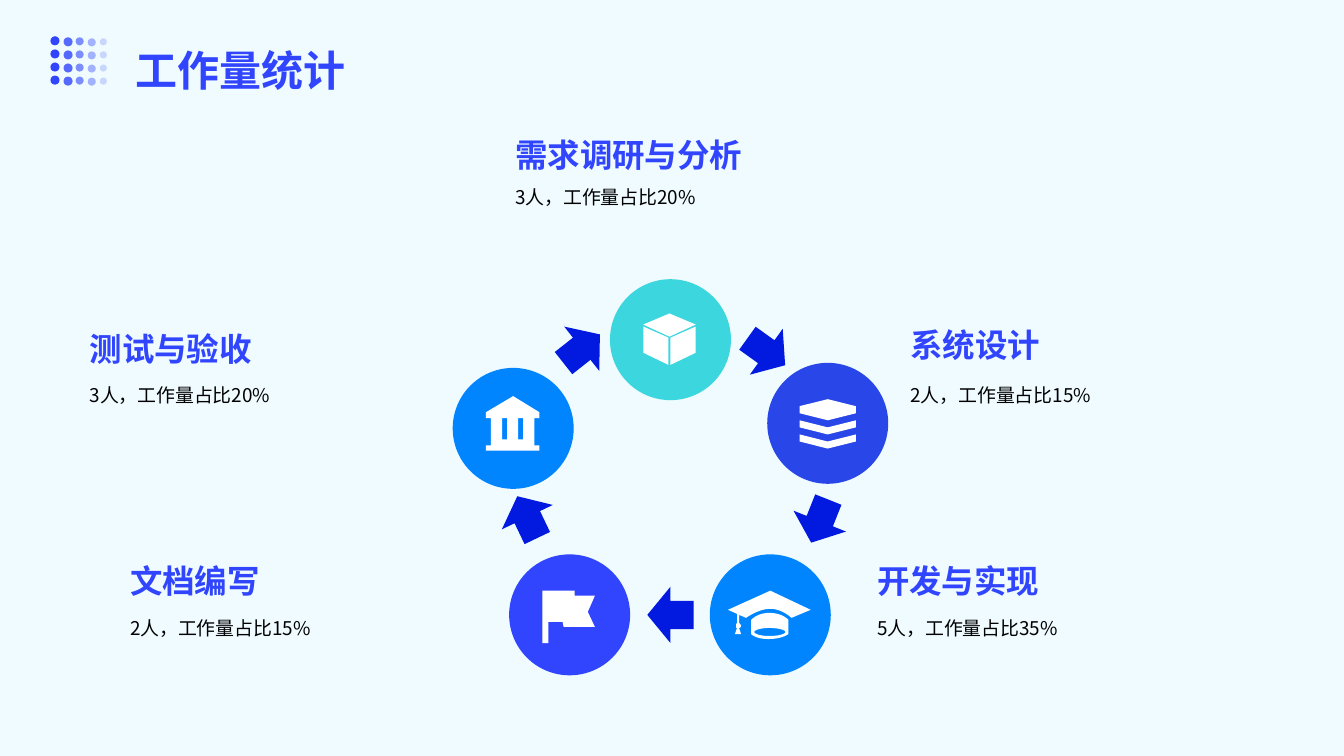
from lxml.etree import SubElement
from pptx import Presentation
from pptx.dml.color import RGBColor
from pptx.enum.shapes import MSO_SHAPE
from pptx.enum.text import MSO_AUTO_SIZE
from pptx.oxml.ns import qn
from pptx.util import Inches, Pt

FONT = "Noto Sans CJK SC"
PALE = RGBColor(0xEF, 0xFB, 0xFF)
BLUE = RGBColor(0x30, 0x45, 0xFD)
SKY = RGBColor(0x00, 0x85, 0xFF)
TEAL = RGBColor(0x3C, 0xD6, 0xDF)
ROYAL = RGBColor(0x29, 0x47, 0xE8)
NAVY = RGBColor(0x02, 0x19, 0xE0)
WHITE = RGBColor(0xFF, 0xFF, 0xFF)
BLACK = RGBColor(0, 0, 0)

# Content
TITLE = "工作量统计"

# name, people, share, left, name top, note top
STAGES = [
    ("需求调研与分析", 3, 20, 4.97, 1.12, 1.59),
    ("系统设计", 2, 15, 8.89, 3.01, 3.55),
    ("开发与实现", 5, 35, 8.56, 5.35, 5.86),
    ("文档编写", 2, 15, 1.15, 5.35, 5.86),
    ("测试与验收", 3, 20, 0.75, 3.05, 3.55),
]

# left, top, colour
DISCS = [(6.05, 2.77, TEAL), (7.61, 3.6, ROYAL), (7.04, 5.5, SKY),
         (5.05, 5.5, BLUE), (4.49, 3.65, SKY)]
DISC = 1.2

# left, top, rotation
ARROWS = [(7.37, 3.21, 35.6), (7.9, 4.89, 111.7), (6.42, 5.82, 180),
          (5, 4.85, 244.4), (5.54, 3.18, 321.7)]

# left, top, size of the dots in each column
DOTS = [(0.5, 0.36, 0.09), (0.63, 0.37, 0.09), (0.75, 0.37, 0.08),
        (0.87, 0.38, 0.08), (0.99, 0.38, 0.07)]
ROWS, PITCH = 4, 0.13


def rect(left, top, right, low):
    return [(left, top), (right, top), (right, low), (left, low)]


# Icon outlines: a point is (x, y), a curve is (x1, y1, x2, y2, x, y)
BOX = [
    [(6.64, 3.11), (6.38, 3.22), (6.64, 3.34), (6.9, 3.22)],
    [(6.65, 3.35), (6.65, 3.62), (6.9, 3.5), (6.9, 3.24)],
    [(6.38, 3.5), (6.63, 3.62), (6.63, 3.35), (6.38, 3.24)],
]
# A full top sheet over two chevrons
STACK = [[(7.93, 4.03), (8.21, 3.96), (8.49, 4.03),
          (8.49, 4.1), (8.21, 4.17), (7.93, 4.1)]]
STACK += [[(7.93, y), (8.21, y + 0.07), (8.49, y),
           (8.49, y + 0.07), (8.21, y + 0.14), (7.93, y + 0.07)]
          for y in (4.17, 4.31)]
CAP = [
    [(7.85, 6.13), (7.85, 6.13, 7.76, 6.04, 7.64, 6.04),
     (7.52, 6.04, 7.4, 6.13, 7.4, 6.13), (7.33, 6.1), (7.33, 6.18),
     (7.34, 6.19, 7.35, 6.2, 7.35, 6.21),
     (7.35, 6.22, 7.34, 6.23, 7.33, 6.23), (7.35, 6.29), (7.29, 6.29),
     (7.31, 6.23), (7.3, 6.23, 7.3, 6.22, 7.3, 6.21),
     (7.3, 6.2, 7.3, 6.19, 7.31, 6.18), (7.31, 6.09), (7.22, 6.05),
     (7.64, 5.86), (8.04, 6.05)],
    [(7.63, 6.08), (7.76, 6.08, 7.82, 6.15, 7.82, 6.15), (7.82, 6.29),
     (7.82, 6.29, 7.76, 6.34, 7.62, 6.34),
     (7.49, 6.34, 7.45, 6.29, 7.45, 6.29), (7.45, 6.15),
     (7.45, 6.15, 7.51, 6.08, 7.63, 6.08)],
    [(7.63, 6.31), (7.72, 6.31, 7.79, 6.29, 7.79, 6.27),
     (7.79, 6.25, 7.72, 6.23, 7.63, 6.23),
     (7.55, 6.23, 7.48, 6.25, 7.48, 6.27),
     (7.48, 6.29, 7.55, 6.31, 7.63, 6.31)],
]
FLAG = [[(5.58, 6.17), (5.44, 6.17), (5.44, 6.38), (5.38, 6.38),
         (5.38, 5.86), (5.7, 5.86), (5.7, 5.91), (5.9, 5.91),
         (5.83, 6.07), (5.9, 6.22), (5.59, 6.22)]]
HALL = [[(4.82, 4.09), (5.09, 3.93), (5.35, 4.09), (5.35, 4.15),
         (4.82, 4.15)],
        rect(4.82, 4.42, 5.35, 4.47), rect(4.87, 4.36, 5.3, 4.42)]
HALL += [rect(x, 4.15, x + 0.11, 4.36) for x in (4.87, 5.03, 5.19)]
ICONS = [BOX, STACK, CAP, FLAG, HALL]

deck = Presentation()
deck.slide_width, deck.slide_height = Inches(13.33), Inches(7.5)
slide = deck.slides.add_slide(deck.slide_layouts[6])
slide.background.fill.solid()
slide.background.fill.fore_color.rgb = PALE
shapes = slide.shapes


def paint(shape, color):
    shape.shadow.inherit = False
    shape.fill.solid()
    shape.fill.fore_color.rgb = color
    shape.line.fill.background()
    return shape


def add(kind, left, top, wide, high, color):
    return paint(shapes.add_shape(kind, Inches(left), Inches(top),
                                  Inches(wide), Inches(high)), color)


def write(text, left, top, wide, high, size, space, color, bold):
    frame = shapes.add_textbox(Inches(left), Inches(top),
                               Inches(wide), Inches(high)).text_frame
    frame.word_wrap = True
    frame.auto_size = MSO_AUTO_SIZE.SHAPE_TO_FIT_TEXT
    frame.margin_left = frame.margin_top = frame.margin_bottom = Inches(0.14)
    frame.margin_right = Inches(0.06)
    para = frame.paragraphs[0]
    para.text = text
    para.line_spacing = space
    font = para.font
    font.size, font.bold, font.name = Pt(size), bold, FONT
    font.color.rgb = color
    # East Asian typeface
    props = para._p.pPr.find(qn("a:defRPr"))
    SubElement(props, qn("a:ea")).set("typeface", FONT)


def trace(path, steps=8):
    """Turn points and curves into a list of points in slide units."""
    out = []
    for item in path:
        if len(item) == 2:
            out.append(item)
            continue
        nodes = [out[-1], item[:2], item[2:4], item[4:]]
        for i in range(1, steps + 1):
            t = i / steps
            parts = ((1 - t) ** 3, 3 * t * (1 - t) ** 2,
                     3 * t * t * (1 - t), t ** 3)
            out.append(tuple(sum(w * n[k] for w, n in zip(parts, nodes))
                             for k in (0, 1)))
    return [(Inches(x), Inches(y)) for x, y in out]


def draw(paths):
    first, *rest = [trace(path) for path in paths]
    build = shapes.build_freeform(*first[0])
    build.add_line_segments(first[1:], close=True)
    for line in rest:
        build.move_to(*line[0])
        build.add_line_segments(line[1:], close=True)
    paint(build.convert_to_shape(), WHITE)


# Ring of discs, icons and arrows
for (left, top, color), icon in zip(DISCS, ICONS):
    add(MSO_SHAPE.OVAL, left, top, DISC, DISC, color)
    draw(icon)
for left, top, turn in ARROWS:
    add(MSO_SHAPE.RIGHT_ARROW, left, top, 0.46, 0.56, NAVY).rotation = turn

# Stage labels
for name, people, share, left, top, low in STAGES:
    write(name, left, top, 4.26, 0.76, 23.2, 1.2, BLUE, True)
    write(f"{people}人，工作量占比{share}%", left, low, 3.62, 1.32,
          13.5, 1.5, BLACK, False)

# Title with fading dots
for row in range(ROWS):
    for col, (left, top, size) in enumerate(DOTS):
        dot = add(MSO_SHAPE.OVAL, left, top + row * PITCH, size, size, BLUE)
        if col:
            tint = dot.fill._xPr.find(".//" + qn("a:srgbClr"))
            SubElement(tint, qn("a:alpha")).set("val", str(100000 - col * 20000))
write(TITLE, 1.2, 0.1, 10.94, 1, 30, 1.4, BLUE, True)

deck.save("out.pptx")
